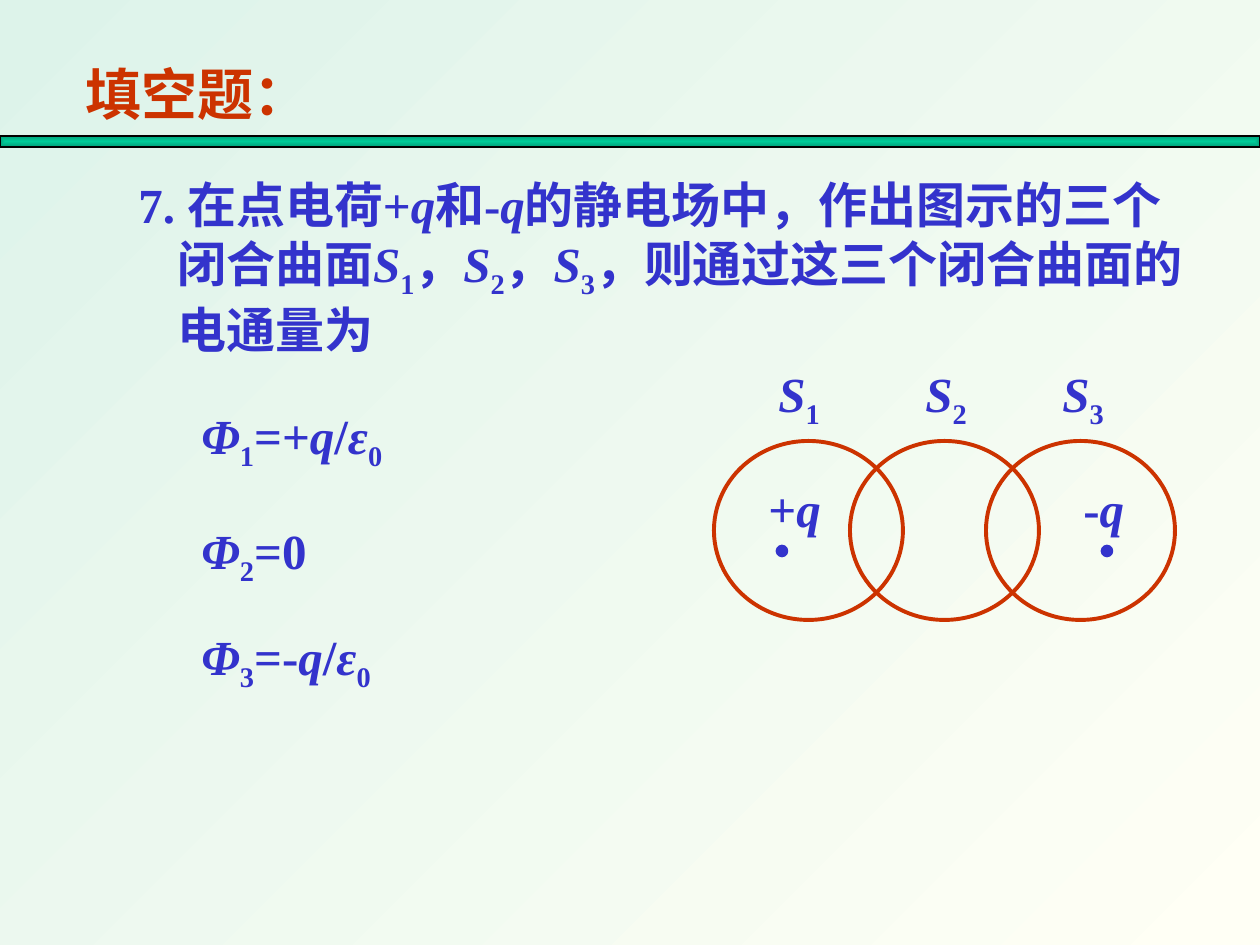
from lxml.etree import SubElement
from pptx import Presentation
from pptx.dml.color import RGBColor
from pptx.enum.shapes import MSO_SHAPE as Kind
from pptx.enum.text import MSO_AUTO_SIZE as Fit, PP_ALIGN as Align
from pptx.oxml.ns import qn
from pptx.util import Pt

PX = 914400 / 126
THEME = {
    "red": RGBColor.from_string("CC3300"),
    "blue": RGBColor.from_string("3333CC"),
    "black": RGBColor.from_string("000000"),
    "sky": ("DDF3EA", "FFFFF5"),
    "bar": ("00CC99", "00A179"),
    "font": "Times New Roman",
    "head": Pt(32),
    "body": Pt(28),
}
ITALIC = ("q", "S", "Φ", "ε")

deck = Presentation()
deck.slide_width, deck.slide_height = round(1260 * PX), round(945 * PX)
slide = deck.slides.add_slide(deck.slide_layouts[6])


def write(box, text, color="blue", size="body", align=Align.LEFT):
    """Pieces are split by |; symbols turn italic, lone digits subscript."""
    shape = slide.shapes.add_textbox(*(round(n * PX) for n in box))
    frame = shape.text_frame
    frame.word_wrap, frame.auto_size = True, Fit.SHAPE_TO_FIT_TEXT
    para = frame.paragraphs[0]
    para.alignment = align
    for piece in text.split("|"):
        run = para.add_run()
        run.text = piece
        style = {"name": THEME["font"], "size": THEME[size],
                 "bold": True, "italic": piece in ITALIC}
        for key, val in style.items():
            setattr(run.font, key, val)
        run.font.color.rgb = THEME[color]
        if piece.isdigit():
            run._r.get_or_add_rPr().set("baseline", "-25000")
    return para


def draw(kind, box, line, width):
    shape = slide.shapes.add_shape(kind, *(round(n * PX) for n in box))
    shape.shadow.inherit = False
    shape.line.color.rgb, shape.line.width = THEME[line], Pt(width)
    return shape


# Title and question
write((73, 53, 325, 79), "填空题：", "red", "head")
ask = write((126, 168, 1081, 189),
            "7. 在点电荷+|q|和-|q|的静电场中，作出图示的三个闭合曲面"
            "|S|1|，|S|2|，|S|3|，则通过这三个闭合曲面的电通量为")
props = ask._p.get_or_add_pPr()
props.set("marL", str(round(39 * PX)))
props.set("indent", str(round(-39 * PX)))

# Closed surfaces
for i in range(3):
    ring = draw(Kind.OVAL, (714 + 136 * i, 441, 189, 179), "red", 2.25)
    ring.fill.background()

# Charges
for left, dot, sign in ((756, 777, "+"), (1071, 1102, "-")):
    point = draw(Kind.OVAL, (dot, 546, 10, 10), "blue", 1.5)
    point.fill.solid()
    point.fill.fore_color.rgb = THEME["blue"]
    write((left, 472, 105, 72), f"{sign}|q")

# Surface names
for num, left in enumerate((766, 913, 1050), 1):
    write((left, 357, 100, 72), f"S|{num}")

# Answers
for num, (top, value) in enumerate(
        ((399, "=+|q|/|ε|0"), (514, "=0"), (620, "=-|q|/|ε|0")), 1):
    write((189, top, 336, 72), f"Φ|{num}|{value}", align=Align.JUSTIFY)

# Rule under the title, and gradients
bar = draw(Kind.RECTANGLE, (0, 136, 1260, 11), "black", 1)
for fill, name in ((slide.background.fill, "sky"), (bar.fill, "bar")):
    fill.gradient()
    for i, stop in enumerate(fill.gradient_stops):
        stop.color.rgb = RGBColor.from_string(THEME[name][i])
        stop.position = i
slide.background.fill.gradient_angle = 315
grad = bar._element.spPr.find(qn("a:gradFill"))
grad.remove(grad.find(qn("a:lin")))
focus = SubElement(grad, qn("a:path"), {"path": "shape"})
SubElement(focus, qn("a:fillToRect"), dict.fromkeys("ltrb", "50000"))

deck.save("out.pptx")
